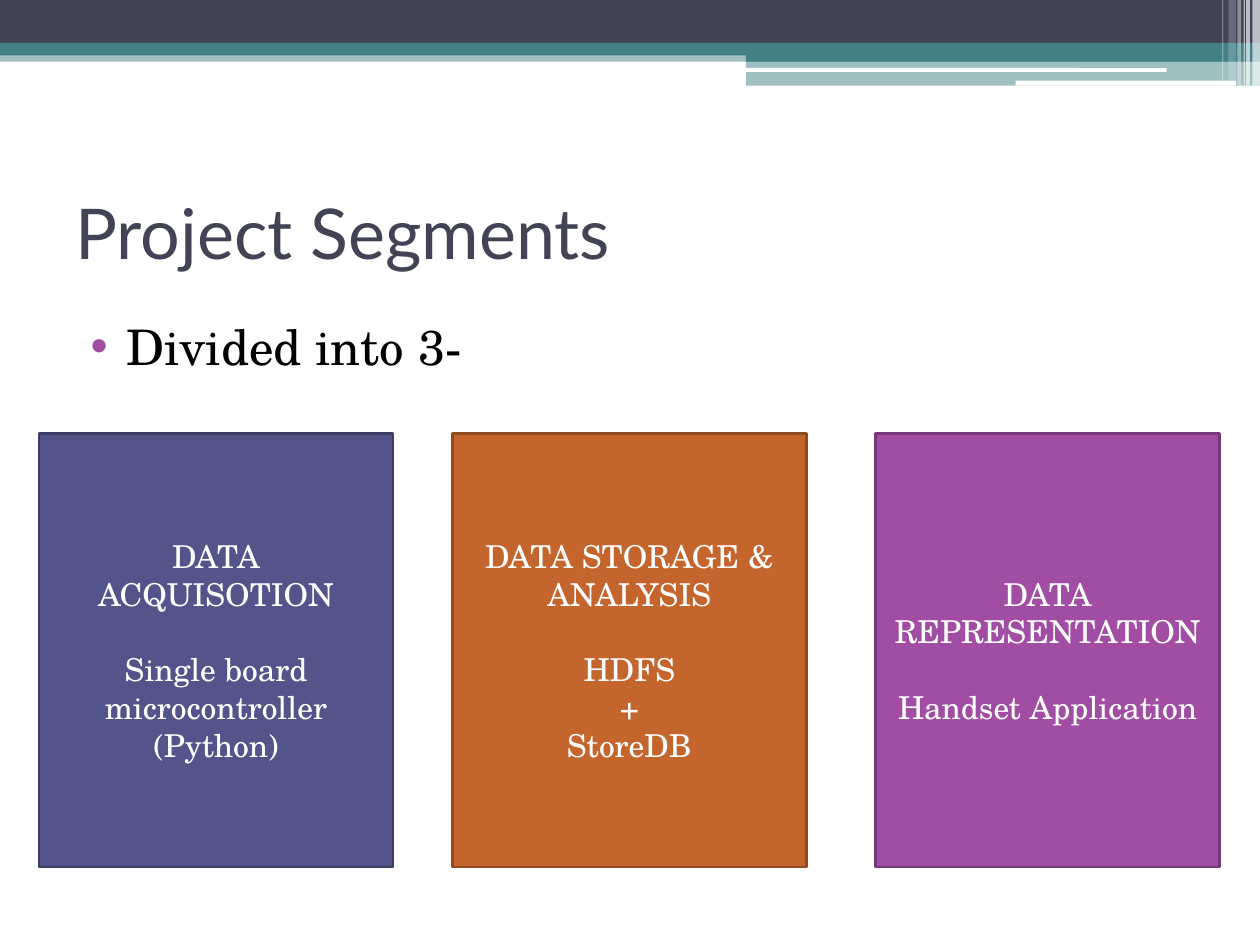
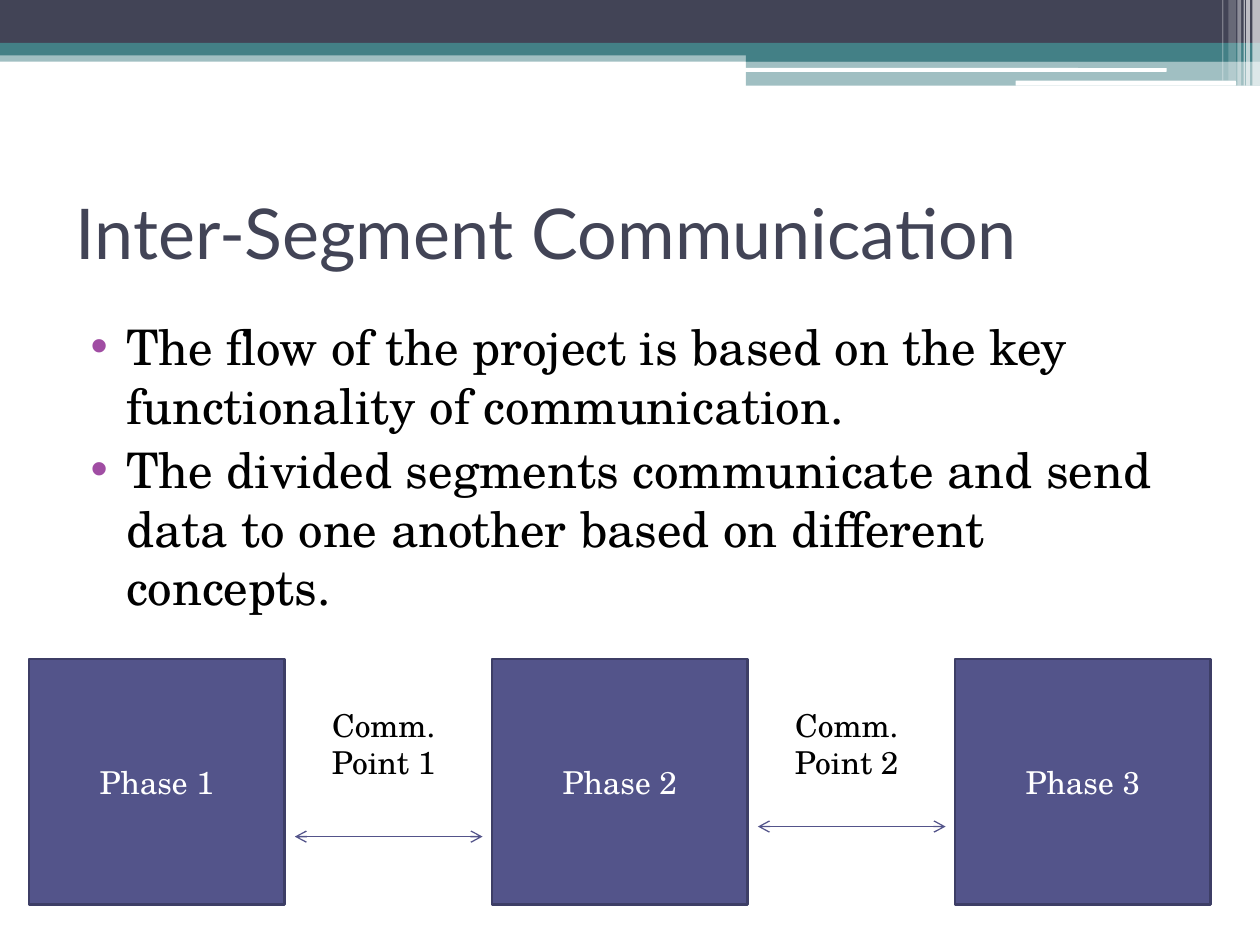
"""Two slides on project segments and the communication between them."""
from pptx import Presentation
from pptx import util as u
from pptx.dml.color import RGBColor
from pptx.enum import shapes, text
from pptx.oxml.ns import qn
from lxml import etree

INK = RGBColor(0x42, 0x44, 0x56)
TEAL = RGBColor(0x43, 0x80, 0x86)
WHITE = RGBColor(0xFF, 0xFF, 0xFF)
BLACK = RGBColor(0x00, 0x00, 0x00)
INDIGO = RGBColor(0x53, 0x54, 0x8A)
INDIGO_EDGE = RGBColor(0x3D, 0x3E, 0x66)
ORANGE = RGBColor(0xC4, 0x65, 0x2D)
ORANGE_EDGE = RGBColor(0x91, 0x4B, 0x21)
PURPLE = RGBColor(0xA0, 0x4D, 0xA3)
PURPLE_EDGE = RGBColor(0x76, 0x39, 0x79)
TITLE_FONT = "Lato"
BODY_FONT = "TeX Gyre Schola"
CENTER = text.PP_ALIGN.CENTER
LEFT = text.PP_ALIGN.LEFT
RECT = shapes.MSO_SHAPE.RECTANGLE
ROUND = shapes.MSO_SHAPE.ROUNDED_RECTANGLE

BANDS = [
    (0, 0.4, 10, 0.09, TEAL, 50),
    (0, 0, 10, 0.34, INK, 100),
    (0, 0.34, 10, 0.1, TEAL, 100),
    (5.92, 0.39, 4.08, 0.1, TEAL, 100),
    (5.92, 0.48, 4.08, 0.2, TEAL, 50),
]
HIGHLIGHTS = [(5.91, 0.54, 3.35, 0.03), (8.06, 0.64, 1.75, 0.04)]
STRIPES = [
    (9.94, 0.06, 0.68, 65),
    (9.89, 0.03, 0.68, 65),
    (9.87, 0.01, 0.68, 60),
    (9.82, 0.03, 0.68, 40),
    (9.75, 0.06, 0.64, 20),
    (9.7, 0.01, 0.64, 30),
]


def write(tf, lines, size=18, font=BODY_FONT, color=BLACK, align=CENTER,
          before=0, first_after=0):
    """Fill a text frame with one formatted paragraph per line."""
    for i, line in enumerate(lines):
        p = tf.paragraphs[0] if i == 0 else tf.add_paragraph()
        p.alignment = align
        p.space_before = u.Pt(before)
        p.space_after = u.Pt(0 if i else first_after)
        r = p.add_run()
        r.text = line
        r.font.size = u.Pt(size)
        r.font.name = font
        r.font.color.rgb = color


class Deck:
    """Hold the shared style and the current slide."""

    def __init__(self):
        """Start a 10 by 7.5 inch presentation."""
        self.prs = Presentation()
        self.prs.slide_width = u.Inches(10)
        self.prs.slide_height = u.Inches(7.5)
        self.s = None

    def slide(self, title, bullets):
        """Add a slide with its title and bullet list."""
        self.s = self.prs.slides.add_slide(self.prs.slide_layouts[1])
        tf = self.place(self.s.shapes.title, 1.25, 1.17)
        tf.vertical_anchor = text.MSO_ANCHOR.MIDDLE
        write(tf, [title], size=40, font=TITLE_FONT, color=INK, align=LEFT)
        tf = self.place(self.s.placeholders[1], 2.46, 4.73)
        write(tf, bullets, size=28, align=LEFT, before=3)
        for p in tf.paragraphs:
            self.bullet(p)

    def place(self, sp, y, h):
        """Set a placeholder across the text column."""
        sp.left, sp.top = u.Inches(0.5), u.Inches(y)
        sp.width, sp.height = u.Inches(9), u.Inches(h)
        sp.text_frame.auto_size = text.MSO_AUTO_SIZE.NONE
        return sp.text_frame

    def bullet(self, p):
        """Give a paragraph a purple bullet and a hanging indent."""
        pPr = p._p.get_or_add_pPr()
        pPr.set("marL", str(u.Inches(0.4)))
        pPr.set("indent", str(u.Inches(-0.28)))
        clr = etree.SubElement(pPr, qn("a:buClr"))
        etree.SubElement(clr, qn("a:srgbClr"), val=str(PURPLE))
        etree.SubElement(pPr, qn("a:buFont"), typeface="Arial")
        etree.SubElement(pPr, qn("a:buChar"), char="•")

    def shape(self, x, y, w, h, fill, kind=RECT, edge=None, opacity=100):
        """Add a filled shape with an optional outline."""
        sp = self.s.shapes.add_shape(
            kind, u.Inches(x), u.Inches(y), u.Inches(w), u.Inches(h))
        sp.shadow.inherit = False
        sp.fill.solid()
        sp.fill.fore_color.rgb = fill
        if opacity < 100:
            clr = sp.element.spPr.find(".//" + qn("a:srgbClr"))
            etree.SubElement(clr, qn("a:alpha"), val=str(opacity * 1000))
        if edge is None:
            sp.line.fill.background()
        else:
            sp.line.color.rgb = edge
            sp.line.width = u.Pt(1.5)
        return sp

    def box(self, x, y, w, h, lines, fill, edge, first_after=0):
        """Add an outlined box with centred white text."""
        tf = self.shape(x, y, w, h, fill, edge=edge).text_frame
        tf.word_wrap = True
        tf.vertical_anchor = text.MSO_ANCHOR.MIDDLE
        write(tf, lines, color=WHITE, first_after=first_after)

    def label(self, x, y, w, h, line):
        """Add a centred text box."""
        sp = self.s.shapes.add_textbox(
            u.Inches(x), u.Inches(y), u.Inches(w), u.Inches(h))
        sp.text_frame.word_wrap = True
        sp.text_frame.auto_size = text.MSO_AUTO_SIZE.SHAPE_TO_FIT_TEXT
        write(sp.text_frame, [line])

    def double_arrow(self, x1, x2, y):
        """Add a level line with an arrowhead at both ends."""
        c = self.s.shapes.add_connector(
            shapes.MSO_CONNECTOR.STRAIGHT,
            u.Inches(x1), u.Inches(y), u.Inches(x2), u.Inches(y))
        c.line.color.rgb = INDIGO
        c.line.width = u.Pt(0.75)
        ln = c.line._get_or_add_ln()
        for end in ("a:headEnd", "a:tailEnd"):
            etree.SubElement(ln, qn(end), type="arrow")
        etree.SubElement(c.element.spPr, qn("a:effectLst"))

    def header_on_master(self):
        """Draw the header bands and move them to the slide master."""
        header = [self.shape(x, y, w, h, fill, opacity=a)
                  for x, y, w, h, fill, a in BANDS]
        header += [self.shape(*at, WHITE, kind=ROUND) for at in HIGHLIGHTS]
        header += [self.shape(x, 0, w, h, WHITE, opacity=a)
                   for x, w, h, a in STRIPES]
        tree = self.prs.slide_master.shapes.element
        for i, sp in enumerate(header):
            sp.element.nvSpPr.cNvPr.set("id", str(100 + i))
            tree.insert(2 + i, sp.element)


def main():
    """Build both slides and save them."""
    deck = Deck()

    deck.slide("Project Segments", ["Divided into 3-"])
    deck.header_on_master()
    segments = [
        (0.31, 2.81, INDIGO, INDIGO_EDGE,
         ["DATA ACQUISOTION", "Single board microcontroller", "(Python)"]),
        (3.59, 2.81, ORANGE, ORANGE_EDGE,
         ["DATA STORAGE & ANALYSIS", "HDFS", "+", "StoreDB"]),
        (6.95, 2.73, PURPLE, PURPLE_EDGE,
         ["DATA REPRESENTATION", "Handset Application"]),
    ]
    for x, w, fill, edge, lines in segments:
        deck.box(x, 3.44, w, 3.44, lines, fill, edge, first_after=21.6)

    deck.slide("Inter-Segment Communication", [
        "The flow of the project is based on the key functionality of "
        "communication.",
        "The divided segments communicate and send data to one another "
        "based on different concepts.",
    ])
    left, pitch = 0.23, 3.675
    for i in range(3):
        deck.box(left + i * pitch, 5.23, 2.03, 1.95, [f"Phase {i + 1}"],
                 INDIGO, INDIGO_EDGE)
    for i, y in enumerate((6.64, 6.56)):
        x = left + i * pitch
        deck.double_arrow(x + 2.11, x + 3.6, y)
        deck.label(x + 2.19, 5.55, 1.25, 0.71, f"Comm. Point {i + 1}")

    deck.prs.save("out.pptx")


if __name__ == "__main__":
    main()
